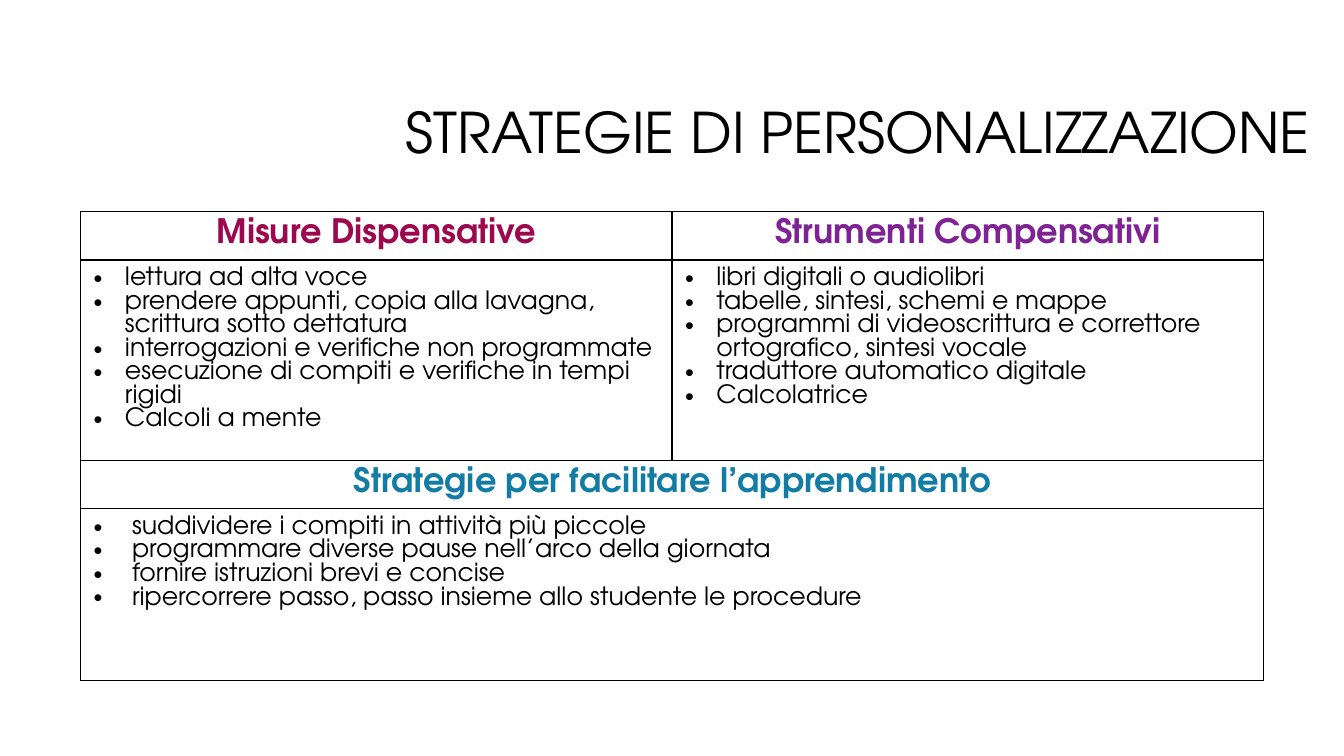
from lxml import etree
from pptx import Presentation
from pptx import util as u
from pptx.dml.color import RGBColor
from pptx.enum import text
from pptx.oxml import ns

BLACK = RGBColor(0x00, 0x00, 0x00)
CRIMSON = RGBColor(0x9D, 0x07, 0x4E)
PURPLE = RGBColor(0x7F, 0x22, 0x94)
TEAL = RGBColor(0x12, 0x7C, 0xA4)

EXEMPTIONS = [
    "lettura ad alta voce",
    "prendere appunti, copia alla lavagna, scrittura sotto dettatura",
    "interrogazioni e verifiche non programmate",
    "esecuzione di compiti e verifiche in tempi rigidi",
    "Calcoli a mente",
]
TOOLS = [
    "libri digitali o audiolibri",
    "tabelle, sintesi, schemi e mappe",
    "programmi di videoscrittura e correttore ortografico, sintesi vocale",
    "traduttore automatico digitale",
    "Calcolatrice",
]
STRATEGIES = [
    "suddividere i compiti in attività più piccole",
    "programmare diverse pause nell’arco della giornata",
    "fornire istruzioni brevi e concise",
    "ripercorrere passo, passo insieme allo studente le procedure",
]


class SlideBuilder:
    font_name = "TeX Gyre Adventor"
    title_size, heading_size, body_size = 40, 24, 18

    def __init__(self, presentation):
        self.width = presentation.slide_width
        self.height = presentation.slide_height
        self.slide = presentation.slides.add_slide(presentation.slide_layouts[6])

    def box(self, left, top, width, height):
        return (int(self.width * left / 100), int(self.height * top / 100),
                int(self.width * width / 100), int(self.height * height / 100))

    def style(self, paragraph, size, color=BLACK, bold=False):
        for run in paragraph.runs:
            run.font.name = self.font_name
            run.font.size = u.Pt(size)
            run.font.bold = bold
            run.font.color.rgb = color

    def title(self, words, area):
        frame = self.slide.shapes.add_textbox(*self.box(*area)).text_frame
        frame.word_wrap = True
        frame.margin_top = u.Inches(0.2)
        frame.vertical_anchor = text.MSO_ANCHOR.TOP
        frame.text = words
        paragraph = frame.paragraphs[0]
        paragraph.alignment = text.PP_ALIGN.RIGHT
        paragraph.line_spacing = 0.9
        self.style(paragraph, self.title_size)

    def table(self, area, columns, row_shares):
        left, top, width, height = self.box(*area)
        shape = self.slide.shapes.add_table(
            len(row_shares), columns, left, top, width, height)
        table = shape.table
        table.first_row = table.horz_banding = False
        for row, share in zip(table.rows, row_shares):
            row.height = int(self.height * share / 100)
        for cell in table.iter_cells():
            cell.margin_left = cell.margin_right = u.Inches(0.13)
            cell.margin_top = cell.margin_bottom = u.Inches(0.07)
            self.borders(cell)
            cell.fill.background()
        return table

    def borders(self, cell):
        properties = cell._tc.get_or_add_tcPr()
        for side in ("a:lnL", "a:lnR", "a:lnT", "a:lnB"):
            line = etree.SubElement(properties, ns.qn(side), w=str(u.Pt(1)))
            fill = etree.SubElement(line, ns.qn("a:solidFill"))
            etree.SubElement(fill, ns.qn("a:srgbClr"), val=str(BLACK))

    def heading(self, cell, words, color):
        cell.text_frame.text = words
        paragraph = cell.text_frame.paragraphs[0]
        paragraph.alignment = text.PP_ALIGN.CENTER
        self.style(paragraph, self.heading_size, color, bold=True)

    def bullets(self, cell, items, indent=0.31):
        cell.text_frame.text = "\n".join(items)
        for paragraph in cell.text_frame.paragraphs:
            properties = paragraph._p.get_or_add_pPr()
            properties.set("marL", str(u.Inches(indent)))
            properties.set("indent", str(-u.Inches(indent)))
            etree.SubElement(properties, ns.qn("a:buFont"), typeface="Arial")
            etree.SubElement(properties, ns.qn("a:buChar"), char="•")
            self.style(paragraph, self.body_size)


def main():
    presentation = Presentation()
    presentation.slide_width = u.Inches(13.33)
    presentation.slide_height = u.Inches(7.5)
    builder = SlideBuilder(presentation)

    table = builder.table((6, 28, 88, 62), 2, (6.4, 26.5, 6.4, 22.7))
    for row in (2, 3):
        table.cell(row, 0).merge(table.cell(row, 1))
    builder.heading(table.cell(0, 0), "Misure Dispensative", CRIMSON)
    builder.heading(table.cell(0, 1), "Strumenti Compensativi", PURPLE)
    builder.bullets(table.cell(1, 0), EXEMPTIONS)
    builder.bullets(table.cell(1, 1), TOOLS)
    builder.heading(table.cell(2, 0), "Strategie per facilitare l’apprendimento", TEAL)
    builder.bullets(table.cell(3, 0), STRATEGIES, indent=0.38)

    builder.title("STRATEGIE DI PERSONALIZZAZIONE", (27.5, 11.2, 70.7, 18.8))
    presentation.save("out.pptx")


if __name__ == "__main__":
    main()
